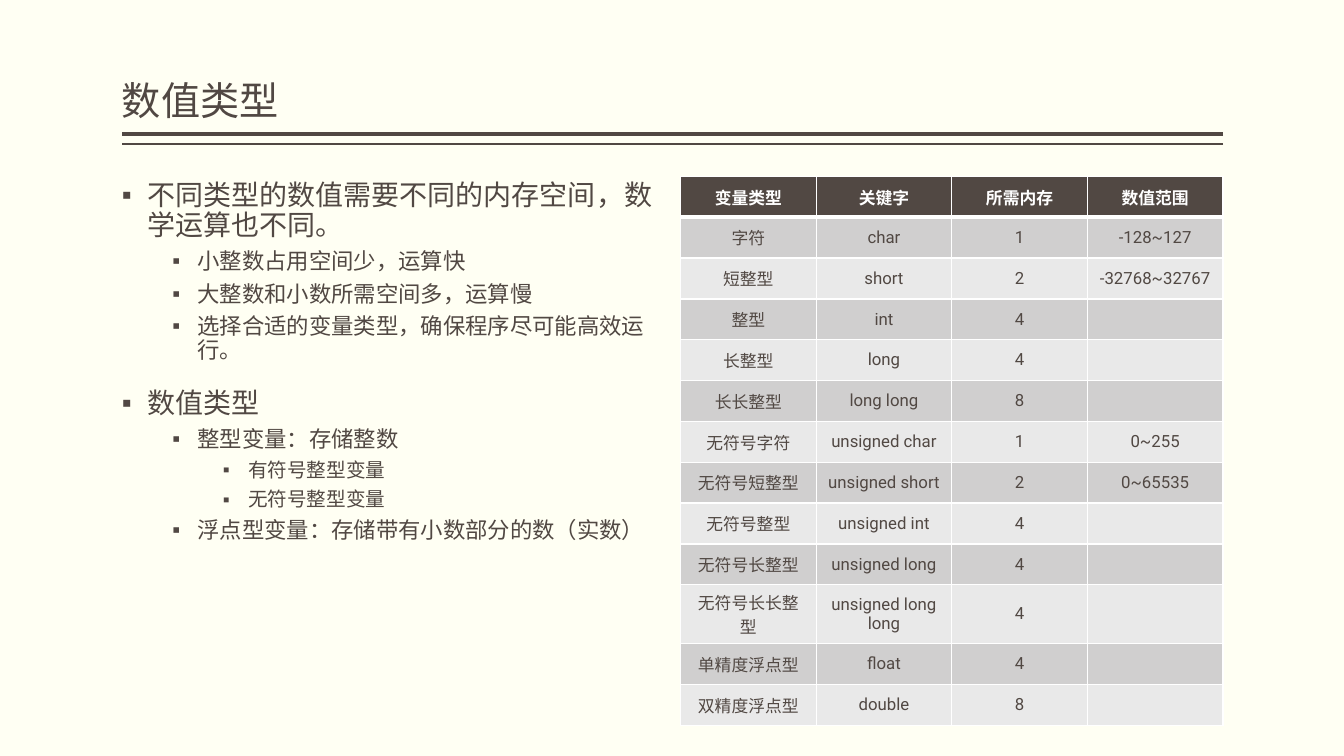
import pptx
import pptx.util
import pptx.dml.color
import pptx.enum.shapes
import pptx.enum.text
import pptx.oxml.ns
import lxml.etree

Inches = pptx.util.Inches
Pt = pptx.util.Pt
qn = pptx.oxml.ns.qn
Anchor = pptx.enum.text.MSO_ANCHOR
Align = pptx.enum.text.PP_ALIGN

HUES = {"back": "FFFFF3", "ink": "514843", "white": "FFFFFF",
        "dark": "D0CFCF", "light": "E9E9E9"}
HAN = "Noto Sans CJK SC"
LATIN = "Roboto"

POINTS = [
    (0, "不同类型的数值需要不同的内存空间，数学运算也不同。"),
    (1, "小整数占用空间少，运算快"),
    (1, "大整数和小数所需空间多，运算慢"),
    (1, "选择合适的变量类型，确保程序尽可能高效运行。"),
    (0, "数值类型"),
    (1, "整型变量：存储整数"),
    (2, "有符号整型变量"),
    (2, "无符号整型变量"),
    (1, "浮点型变量：存储带有小数部分的数（实数）"),
]
TYPES = [
    ("变量类型", "关键字", "所需内存", "数值范围"),
    ("字符", "char", "1", "-128~127"),
    ("短整型", "short", "2", "-32768~32767"),
    ("整型", "int", "4", ""),
    ("长整型", "long", "4", ""),
    ("长长整型", "long long", "8", ""),
    ("无符号字符", "unsigned char", "1", "0~255"),
    ("无符号短整型", "unsigned short", "2", "0~65535"),
    ("无符号整型", "unsigned int", "4", ""),
    ("无符号长整型", "unsigned long", "4", ""),
    ("无符号长长整型", "unsigned long long", "4", ""),
    ("单精度浮点型", "float", "4", ""),
    ("双精度浮点型", "double", "8", ""),
]


def tint(name):
    return pptx.dml.color.RGBColor.from_string(HUES[name])


def paint(fill, name):
    fill.solid()
    fill.fore_color.rgb = tint(name)


def write(para, text, size=12, font=HAN, hue="ink", bold=False,
          align=Align.LEFT, lead=None, before=None):
    para.alignment = align
    para.line_spacing = lead
    para.space_before = before
    run = para.add_run()
    run.text = text
    run.font.size = Pt(size)
    run.font.bold = bold
    run.font.name = font
    run.font.color.rgb = tint(hue)
    east = lxml.etree.SubElement(run.font._element, qn("a:ea"))
    east.set("typeface", HAN)


def place(shape, box, anchor):
    """Move a placeholder to the box and return its text frame."""
    shape.left, shape.top, shape.width, shape.height = map(Inches, box)
    frame = shape.text_frame
    frame.margin_left = frame.margin_right = 0
    frame.margin_top = frame.margin_bottom = Inches(0.05)
    frame.word_wrap = True
    frame.auto_size = pptx.enum.text.MSO_AUTO_SIZE.NONE
    frame.vertical_anchor = anchor
    return frame


def head(slide, box):
    """Title with a thick and a thin rule below it."""
    frame = place(slide.shapes.title, box, Anchor.BOTTOM)
    write(frame.paragraphs[0], "数值类型", size=28, lead=0.9)
    left, top, width, height = box
    for gap, weight in ((0.05, 3), (0.15, 1)):
        y = Inches(top + height + gap)
        rule = slide.shapes.add_connector(
            pptx.enum.shapes.MSO_CONNECTOR.STRAIGHT,
            Inches(left + width), y, Inches(left), y)
        rule.line.color.rgb = tint("ink")
        rule.line.width = Pt(weight)
        lxml.etree.SubElement(rule._element.spPr, qn("a:effectLst"))


def bullet(para, level):
    para.level = level
    props = para._p.get_or_add_pPr()
    props.set("marL", str(Inches(0.25 + 0.5 * level)))
    props.set("indent", str(Inches(-0.25)))
    lxml.etree.SubElement(props, qn("a:buChar")).set("char", "▪")


def points(slide, box):
    frame = place(slide.placeholders[1], box, Anchor.TOP)
    for i, (level, text) in enumerate(POINTS):
        para = frame.add_paragraph() if i else frame.paragraphs[0]
        write(para, text, size=(20, 16, 14)[level], lead=0.9,
              before=Pt(6 if level else 18))
        bullet(para, level)


def edge(cell, side, weight):
    props = cell._tc.get_or_add_tcPr()
    line = lxml.etree.SubElement(props, qn("a:ln" + side))
    line.set("w", str(Pt(weight)))
    fill = lxml.etree.SubElement(line, qn("a:solidFill"))
    lxml.etree.SubElement(fill, qn("a:srgbClr")).set("val", HUES["white"])


def grid(slide, box):
    """Table of types: a dark header over rows in two shades."""
    rows, cols = len(TYPES), len(TYPES[0])
    table = slide.shapes.add_table(rows, cols, *map(Inches, box)).table
    for r, row in enumerate(TYPES):
        top = r == 0
        shade = "ink" if top else ("light", "dark")[r % 2]
        for c, text in enumerate(row):
            cell = table.cell(r, c)
            cell.vertical_anchor = Anchor.MIDDLE
            for side in "LRTB":
                thick = (top and side == "B") or (r == 1 and side == "T")
                edge(cell, side, 3 if thick else 1)
            paint(cell.fill, shade)
            write(cell.text_frame.paragraphs[0], text, font=LATIN, bold=top,
                  hue="white" if top else "ink", align=Align.CENTER)


def main():
    deck = pptx.Presentation()
    deck.slide_width, deck.slide_height = Inches(13.33), Inches(7.5)
    slide = deck.slides.add_slide(deck.slide_layouts[1])
    paint(slide.background.fill, "back")
    head(slide, (1.21, 0.08, 10.92, 1.2))
    points(slide, (1.21, 1.75, 5.38, 5))
    grid(slide, (6.75, 1.75, 5.38, 5.27))
    deck.save("out.pptx")


if __name__ == "__main__":
    main()
